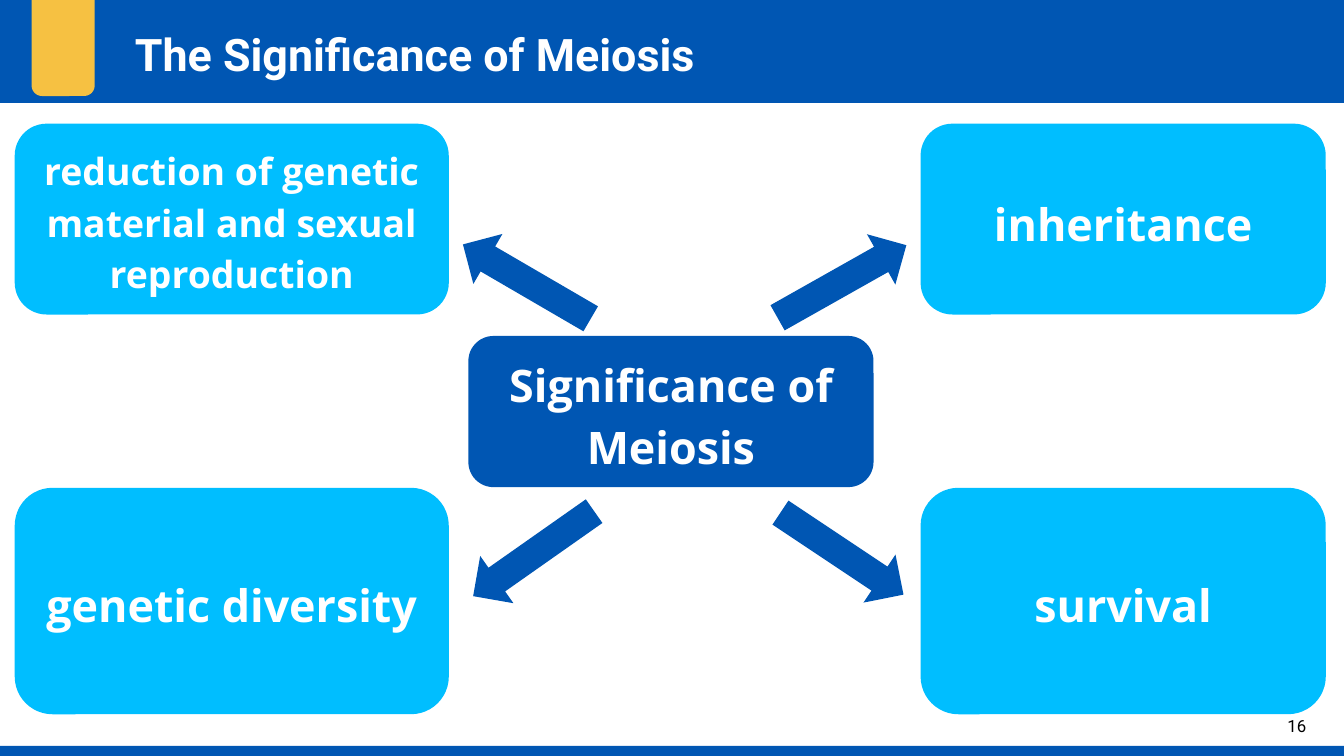
from collections import namedtuple
from dataclasses import dataclass

from pptx import Presentation
from pptx.dml.color import RGBColor
from pptx.enum.shapes import MSO_SHAPE as Shape
from pptx.enum.text import MSO_ANCHOR as Anchor, PP_ALIGN as Align
from pptx.util import Pt

PX = 4572
Box = namedtuple("Box", "left top width height")


@dataclass(frozen=True)
class Theme:
    blue: RGBColor = RGBColor(0x00, 0x56, 0xB3)
    sky: RGBColor = RGBColor(0x00, 0xBE, 0xFF)
    yellow: RGBColor = RGBColor(0xF6, 0xC1, 0x42)
    white: RGBColor = RGBColor(0xFF, 0xFF, 0xFF)
    black: RGBColor = RGBColor(0x00, 0x00, 0x00)
    heading_font: str = "Roboto"
    body_font: str = "Open Sans"
    large: int = 24
    medium: int = 20
    small: int = 9


THEME = Theme()


def inside(box, left, top, width, height):
    return Box(box.left + left, box.top + top, width, height)


def emu(box):
    return [value * PX for value in box]


def add_filled(slide, kind, box, color):
    shape = slide.shapes.add_shape(kind, *emu(box))
    shape.shadow.inherit = False
    shape.fill.solid()
    shape.fill.fore_color.rgb = color
    shape.line.fill.background()
    return shape


def write(shape, text, font_name, size, color, bold=True,
          align=Align.CENTER, anchor=Anchor.MIDDLE, spacing=None):
    frame = shape.text_frame
    frame.text = text
    frame.word_wrap = True
    frame.vertical_anchor = anchor
    frame.margin_left = frame.margin_right = 20 * PX
    frame.margin_top = frame.margin_bottom = 20 * PX
    paragraph = frame.paragraphs[0]
    paragraph.alignment = align
    paragraph.line_spacing = spacing
    font = paragraph.runs[0].font
    font.name, font.size, font.bold = font_name, Pt(size), bold
    font.color.rgb = color


def add_header(slide, box, title):
    add_filled(slide, Shape.RECTANGLE, box, THEME.blue)
    add_filled(slide, Shape.ROUNDED_RECTANGLE, inside(box, 49, -23, 94, 168), THEME.yellow)
    title_box = slide.shapes.add_textbox(*emu(inside(box, 183, 22, 1444, 114)))
    write(title_box, title, THEME.heading_font, THEME.large, THEME.white,
          align=Align.LEFT, anchor=Anchor.TOP)


def add_footer(slide, box, number):
    add_filled(slide, Shape.RECTANGLE, box, THEME.blue)
    number_box = slide.shapes.add_textbox(*emu(inside(box, 1872, -73, 120, 86)))
    write(number_box, number, THEME.heading_font, THEME.small, THEME.black, bold=False)


def add_card(slide, box, text, color, size=THEME.large):
    card = add_filled(slide, Shape.ROUNDED_RECTANGLE, box, color)
    write(card, text, THEME.body_font, size, THEME.white, spacing=1.15)


def add_arrow(slide, box, angle):
    arrow = add_filled(slide, Shape.RIGHT_ARROW, box, THEME.blue)
    arrow.rotation = angle


def add_hub_diagram(slide, box, hub, branches):
    columns = [(0, 646), (1348, 603)]
    rows = [(0, 284), (542, 337)]
    add_card(slide, inside(box, 675, 316, 603, 225), hub, THEME.blue)
    for column, row, text, size, arrow_left, angle in branches:
        left, width = columns[column]
        top, height = rows[row]
        add_card(slide, inside(box, left, top, width, height), text, THEME.sky, size)
        arrow_top = (192, 597)[row]
        add_arrow(slide, inside(box, arrow_left, arrow_top, 220, 86), angle)


def main():
    presentation = Presentation()
    presentation.slide_width = 2000 * PX
    presentation.slide_height = 1125 * PX
    slide = presentation.slides.add_slide(presentation.slide_layouts[6])
    add_header(slide, Box(-2, -2, 2002, 155), "The Significance of Meiosis")
    add_footer(slide, Box(-2, 1110, 2002, 15), "16")
    add_hub_diagram(slide, Box(22, 184, 1951, 879), "Significance of Meiosis", [
        (0, 0, "reduction of genetic material and sexual reproduction",
         THEME.medium, 652, 210.2),
        (1, 0, "inheritance", THEME.large, 1121, 330.6),
        (0, 1, "genetic diversity", THEME.large, 662, 144.9),
        (1, 1, "survival", THEME.large, 1121, 33.7),
    ])
    presentation.save("out.pptx")


if __name__ == "__main__":
    main()
